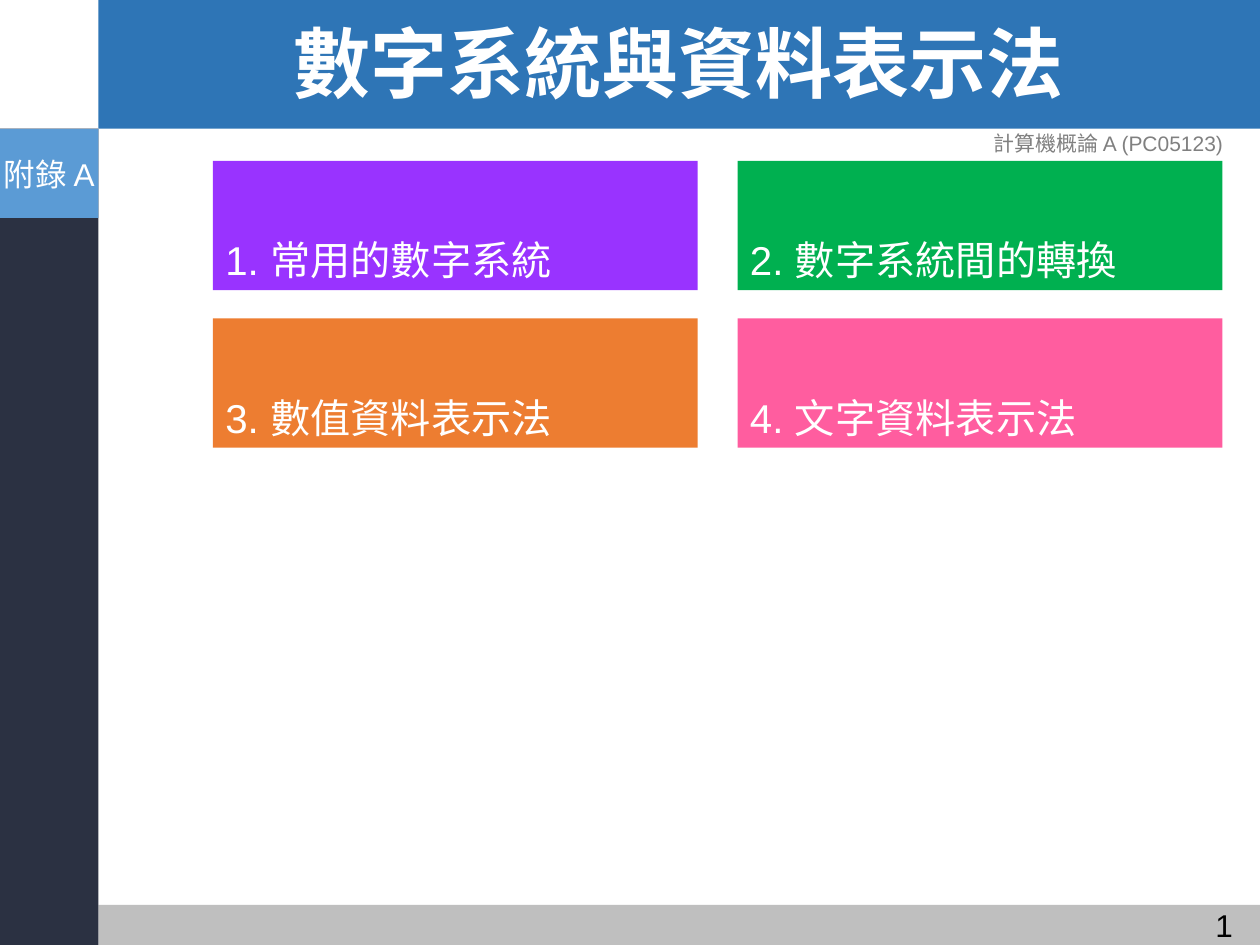
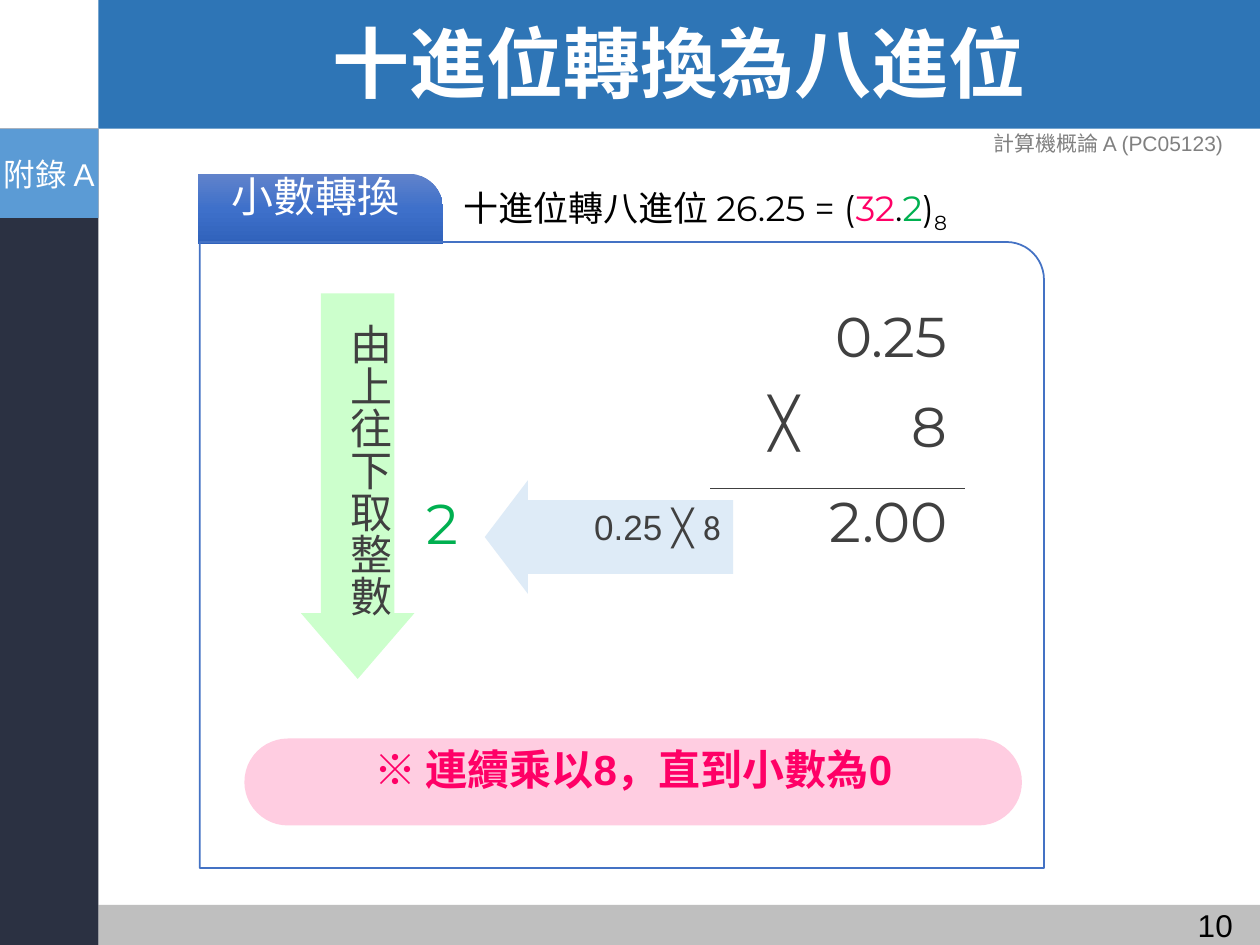
from copy import deepcopy

from lxml import etree
from pptx import Presentation
from pptx import util as u
from pptx.dml.color import RGBColor
from pptx.enum import shapes, text
from pptx.oxml import ns

WHITE = RGBColor(0xFF, 0xFF, 0xFF)
BLACK = RGBColor(0, 0, 0)
DARK_GRAY = RGBColor(0x40, 0x40, 0x40)
COURSE_GRAY = RGBColor(0x80, 0x80, 0x80)
FOOTER_GRAY = RGBColor(0xBF, 0xBF, 0xBF)
TITLE_BLUE = RGBColor(0x2E, 0x75, 0xB6)
LABEL_BLUE = RGBColor(0x5B, 0x9B, 0xD5)
FRAME_BLUE = RGBColor(0x44, 0x72, 0xC4)
PALE_BLUE = RGBColor(0xDE, 0xEB, 0xF7)
NAVY = RGBColor(0x2B, 0x31, 0x42)
PURPLE = RGBColor(0x99, 0x33, 0xFF)
GREEN = RGBColor(0x00, 0xB0, 0x50)
PALE_GREEN = RGBColor(0xCC, 0xFF, 0xCC)
ORANGE = RGBColor(0xED, 0x7D, 0x31)
PINK = RGBColor(0xFF, 0x5D, 0x9F)
PALE_PINK = RGBColor(0xFF, 0xCD, 0xE1)
HOT_PINK = RGBColor(0xFF, 0x00, 0x66)
TAB_GRADIENT = [(0, RGBColor(0x61, 0x83, 0xCB)),
                (0.5, RGBColor(0x3E, 0x70, 0xCA)),
                (1, RGBColor(0x30, 0x62, 0xBB))]

ARIAL, CALIBRI, MONTSERRAT = "Arial", "Calibri", "Montserrat"
LEFT, CENTER, RIGHT = text.PP_ALIGN.LEFT, text.PP_ALIGN.CENTER, text.PP_ALIGN.RIGHT
TOP, MIDDLE, BOTTOM = (text.MSO_ANCHOR.TOP, text.MSO_ANCHOR.MIDDLE,
                       text.MSO_ANCHOR.BOTTOM)
KIND = shapes.MSO_SHAPE

WIDTH, HEIGHT = 720, 540
SIDE_WIDTH, TITLE_HEIGHT = 56.2, 73.6
FOOTER_TOP = 517


def write_text(shape, content, size=18, color=BLACK, font=ARIAL, bold=False,
               align=LEFT, anchor=TOP, spacing=None, insets=(7.2, 3.6),
               wrap=True, vertical=False):
    """Fill a shape with one paragraph; content is a string or (text, format) runs."""
    frame = shape.text_frame
    frame.word_wrap = wrap
    frame.vertical_anchor = anchor
    frame.margin_left = frame.margin_right = u.Pt(insets[0])
    frame.margin_top = frame.margin_bottom = u.Pt(insets[1])
    if vertical:
        shape.element.txBody.bodyPr.set("vert", "eaVert")
    paragraph = frame.paragraphs[0]
    paragraph.alignment = align
    if spacing:
        paragraph.line_spacing = spacing
    runs = [(content, {})] if isinstance(content, str) else content
    for words, changes in runs:
        run = paragraph.add_run()
        run.text = words
        run.font.size = u.Pt(size)
        run.font.bold = bold
        run.font.name = changes.get("font", font)
        run.font.color.rgb = changes.get("color", color)
        if changes.get("subscript"):
            run._r.get_or_add_rPr().set("baseline", "-25000")


class Deck:
    """Holds the presentation, the shared style and the current slide."""

    def __init__(self):
        self.presentation = Presentation()
        self.presentation.slide_width = u.Pt(WIDTH)
        self.presentation.slide_height = u.Pt(HEIGHT)
        self.slide = None

    def new_slide(self, title, number):
        self.slide = self.presentation.slides.add_slide(
            self.presentation.slide_layouts[6])
        body_width = WIDTH - SIDE_WIDTH
        # Bands
        self.shape(KIND.RECTANGLE, SIDE_WIDTH, 0, body_width, TITLE_HEIGHT, TITLE_BLUE)
        self.shape(KIND.RECTANGLE, SIDE_WIDTH, FOOTER_TOP, body_width,
                   HEIGHT - FOOTER_TOP, FOOTER_GRAY)
        self.shape(KIND.RECTANGLE, 0, TITLE_HEIGHT, SIDE_WIDTH,
                   HEIGHT - TITLE_HEIGHT, NAVY)
        # Title, page number, course and chapter label
        self.text(title, SIDE_WIDTH, 2, body_width, TITLE_HEIGHT, size=44, bold=True,
                  color=WHITE, font=MONTSERRAT, align=CENTER, anchor=MIDDLE, spacing=0.9)
        self.text(number, 635, 514, 76.5, 29, align=RIGHT)
        self.text("計算機概論 A (PC05123)", 546.5, 67, 173.5, 29, size=12,
                  color=COURSE_GRAY, align=CENTER, anchor=MIDDLE)
        label = self.shape(KIND.RECTANGLE, 0, TITLE_HEIGHT, SIDE_WIDTH, 51, LABEL_BLUE)
        write_text(label, "附錄 A", color=WHITE, align=CENTER, anchor=MIDDLE,
                   insets=(2.9, 2.9), wrap=False)

    def shape(self, kind, left, top, width, height, fill=None, line=None, adjust=()):
        shape = self.slide.shapes.add_shape(
            kind, u.Pt(left), u.Pt(top), u.Pt(width), u.Pt(height))
        shape.shadow.inherit = False
        for index, value in enumerate(adjust):
            shape.adjustments[index] = value
        if fill is None:
            shape.fill.background()
        else:
            shape.fill.solid()
            shape.fill.fore_color.rgb = fill
        if line is None:
            shape.line.fill.background()
        else:
            shape.line.color.rgb = line
            shape.line.width = u.Pt(1)
        return shape

    def text(self, content, left, top, width, height, **style):
        box = self.slide.shapes.add_textbox(
            u.Pt(left), u.Pt(top), u.Pt(width), u.Pt(height))
        write_text(box, content, **style)
        return box

    def gradient(self, shape, stops):
        shape.fill.gradient()
        shape.fill.gradient_angle = 270
        stop_list = shape.element.xpath(".//a:gsLst")[0]
        while len(stop_list) < len(stops):
            stop_list.append(deepcopy(stop_list[0]))
        for stop, (position, color) in zip(shape.fill.gradient_stops, stops):
            stop.position = position
            stop.color.rgb = color

    def line(self, left, right, y, color):
        line = self.slide.shapes.add_connector(
            shapes.MSO_CONNECTOR.STRAIGHT, u.Pt(left), u.Pt(y), u.Pt(right), u.Pt(y))
        line.line.color.rgb = color
        line.line.width = u.Pt(1)
        etree.SubElement(line.element.spPr, ns.qn("a:effectLst"))


def contents_slide(deck):
    deck.new_slide("數字系統與資料表示法", "1")
    topics = [("常用的數字系統", PURPLE), ("數字系統間的轉換", GREEN),
              ("數值資料表示法", ORANGE), ("文字資料表示法", PINK)]
    for index, (topic, color) in enumerate(topics):
        row, column = divmod(index, 2)
        tile = deck.shape(KIND.RECTANGLE, 121.7 + column * 299.8, 92 + row * 90,
                          277, 73.8, color)
        write_text(tile, f"{index + 1}. {topic}", size=23, color=WHITE, anchor=BOTTOM)


def octal_slide(deck):
    deck.new_slide("十進位轉換為八進位", "10")
    digits = dict(size=32, font=MONTSERRAT, color=DARK_GRAY, align=RIGHT)

    # Integer digit and the arrow that points to it
    deck.text("2", 224.6, 275.8, 56.2, 51, **{**digits, "color": GREEN, "align": CENTER})
    arrow = deck.shape(KIND.LEFT_ARROW, 277, 274.5, 142, 64.8, PALE_BLUE,
                       adjust=(0.65, 0.38))
    write_text(arrow, [("0.25 ╳ ", {}), ("8", {"font": CALIBRI})], size=20,
               color=DARK_GRAY, align=RIGHT, anchor=MIDDLE, spacing=u.Pt(12))

    # Rule of the method
    rule = deck.shape(KIND.ROUNDED_RECTANGLE, 139.7, 422, 444.3, 49.7, PALE_PINK,
                      adjust=(0.5,))
    write_text(rule, "※ 連續乘以8，直到小數為0", size=24, color=HOT_PINK, bold=True,
               align=CENTER, anchor=MIDDLE, spacing=u.Pt(14), insets=(0, 0))

    # Written multiplication
    for number, top in [("0.25", 168.5), ("8", 220.3), ("2.00", 274.5)]:
        deck.text(number, 433.4, top, 115.2, 51, **digits)
    deck.text("╳", 407.5, 220.3, 56.2, 51, size=28, font=CALIBRI, bold=True,
              color=DARK_GRAY, align=RIGHT)
    deck.line(406, 551.5, 279.2, DARK_GRAY)

    # Reading direction
    deck.shape(KIND.DOWN_ARROW, 172, 167.7, 64.8, 220.3, PALE_GREEN, adjust=(0.65, 0.58))
    deck.text("由上往下取整數", 180, 177.8, 34.6, 201, size=24, color=DARK_GRAY,
              spacing=u.Pt(14), vertical=True)

    # Tab, frame and result
    tab = deck.shape(KIND.ROUND_1_RECTANGLE, 113, 99.2, 140.2, 40.2, FRAME_BLUE,
                     adjust=(0.5,))
    deck.gradient(tab, TAB_GRADIENT)
    write_text(tab, "小數轉換", size=24, color=WHITE, align=CENTER, anchor=MIDDLE,
               spacing=u.Pt(14), insets=(0, 0))
    deck.shape(KIND.ROUND_1_RECTANGLE, 114.2, 138.3, 482.4, 357.8, line=FRAME_BLUE,
               adjust=(0.06,))
    latin = {"font": MONTSERRAT}
    result = [("十進位轉八進位 ", {}), ("26.25 = (", latin),
              ("32", {**latin, "color": HOT_PINK}), (".", latin),
              ("2", {**latin, "color": GREEN}), (")", latin),
              ("8", {**latin, "subscript": True})]
    deck.text(result, 257.5, 103, 320, 31.5, size=20)


def main():
    deck = Deck()
    contents_slide(deck)
    octal_slide(deck)
    deck.presentation.save("out.pptx")


if __name__ == "__main__":
    main()
